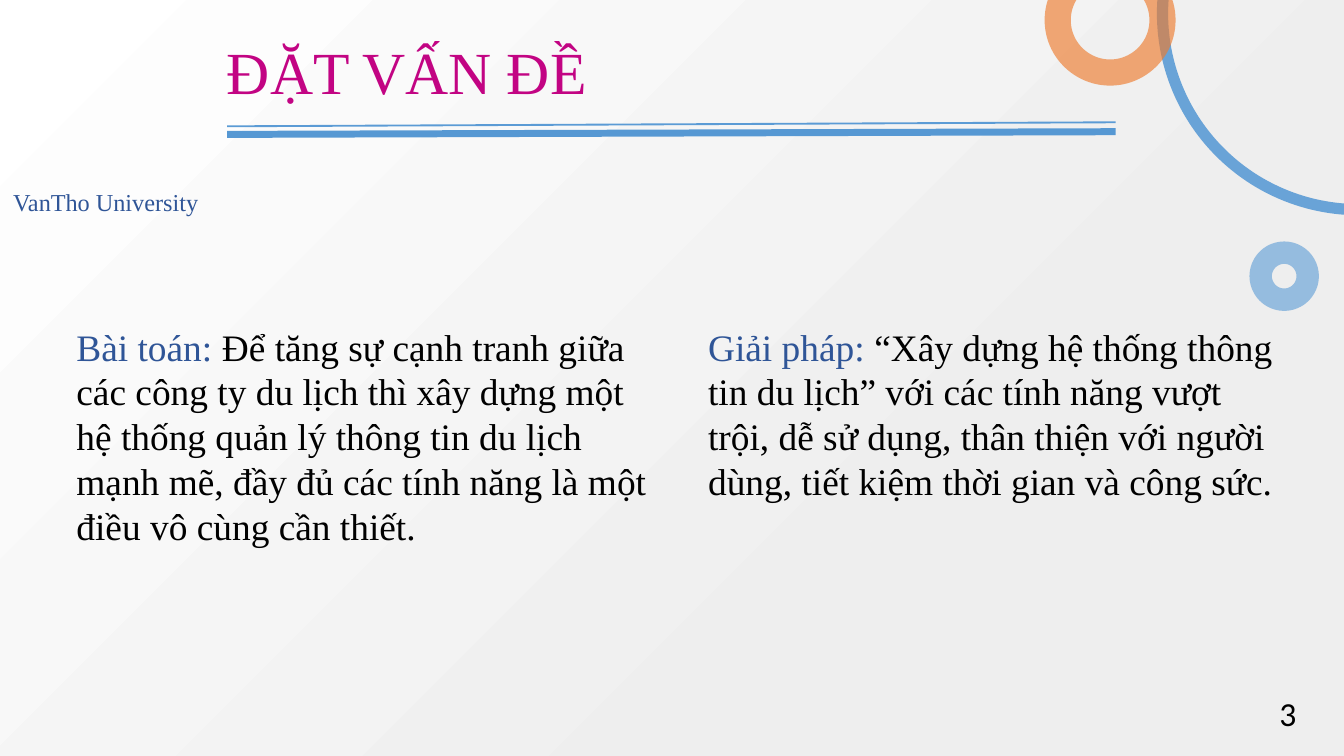
from lxml import etree
from pptx import Presentation
from pptx import util as u
from pptx.dml import color
from pptx.enum import shapes, text
from pptx.oxml import ns

COLORS = {"blue": "5B9BD5", "rule": "5698D3", "orange": "ED7D31", "navy": "2F5597",
          "magenta": "C20483", "black": "000000", "white": "FFFFFF", "grey": "EEEEEE"}
SERIF = "Times New Roman"


def rgb(name):
    return color.RGBColor.from_string(COLORS[name])


def add_background(s):
    fill = s.background.fill
    fill.gradient()
    for stop, (position, name) in zip(fill.gradient_stops, [(0, "white"), (0.71, "grey")]):
        stop.position = position
        stop.color.rgb = rgb(name)
    lin = s.element.find(".//" + ns.qn("a:lin"))
    grad = lin.getparent()
    circle = etree.Element(ns.qn("a:path"), path="circle")
    etree.SubElement(circle, ns.qn("a:fillToRect"), r="100000", b="100000")
    grad.replace(lin, circle)


def add_ring(s, kind, box, name, width, opacity, angles=()):
    sp = s.shapes.add_shape(kind, *map(u.Inches, box))
    sp.shadow.inherit = False
    sp.fill.background()
    for i, angle in enumerate(angles):
        sp.adjustments[i] = angle
    sp.line.color.rgb = rgb(name)
    sp.line.width = u.Pt(width)
    clr = sp.line._ln.find(".//" + ns.qn("a:srgbClr"))
    etree.SubElement(clr, ns.qn("a:alpha"), val=str(opacity * 1000))


def add_rings(s, box):
    x, y = box[:2]
    arc, ellipse = shapes.MSO_SHAPE.ARC, shapes.MSO_SHAPE.OVAL
    add_ring(s, arc, (x + 0.78, y, 2.92, 2.92), "blue", 6, 90, (56.17, 110.74))
    add_ring(s, arc, (x, y + 1.12, 0.78, 0.78), "orange", 14, 65, (194.56, 131.11))
    add_ring(s, ellipse, (x + 1.51, y + 3.24, 0.35, 0.35), "blue", 12, 60)


def add_text(s, box, runs, size, font=SERIF, top=0.05):
    tf = s.shapes.add_textbox(*map(u.Inches, box)).text_frame
    frame = {"word_wrap": True, "vertical_anchor": text.MSO_ANCHOR.TOP,
             "margin_left": u.Inches(0.1), "margin_right": u.Inches(0.1),
             "margin_top": u.Inches(top), "margin_bottom": u.Inches(0.05)}
    for key, value in frame.items():
        setattr(tf, key, value)
    p = tf.paragraphs[0]
    for words, name in runs:
        r = p.add_run()
        r.text = words
        for key, value in {"name": font, "size": u.Pt(size)}.items():
            setattr(r.font, key, value)
        r.font.color.rgb = rgb(name)


def add_header(s, box):
    x, y = box[:2]
    add_text(s, box, [("ĐẶT VẤN ĐỀ", "magenta")], 32)
    for start, end, name, width in [(0.73, 0.7, "blue", 1), (0.79, 0.77, "rule", 3.75)]:
        line = s.shapes.add_connector(shapes.MSO_CONNECTOR.STRAIGHT, *map(
            u.Inches, (x + 0.1, y + start, x + 6.71, y + end)))
        line.line.color.rgb = rgb(name)
        line.line.width = u.Pt(width)
        etree.SubElement(line.element.spPr, ns.qn("a:effectLst"))


def add_columns(s, box, columns):
    x, y, w, h = box
    gap = 0.25
    width = (w - gap) / 2
    for i, (label, body) in enumerate(columns):
        add_text(s, (x + i * (width + gap), y, width, h),
                 [(label, "navy"), (body, "black")], 20, top=0.1)


def main():
    prs = Presentation()
    prs.slide_width = u.Inches(10)
    prs.slide_height = prs.slide_width * 9 // 16
    s = prs.slides.add_slide(prs.slide_layouts[6])
    add_background(s)
    add_rings(s, (7.87, -1.36, 3.7, 3.59))
    add_columns(s, (0.47, 2.31, 9.15, 2.33), [
        ("Bài toán: ", "Để tăng sự cạnh tranh giữa các công ty du lịch thì xây dựng một "
         "hệ thống quản lý thông tin du lịch mạnh mẽ, đầy đủ các tính năng là một "
         "điều vô cùng cần thiết."),
        ("Giải pháp:", " “Xây dựng hệ thống thông tin du lịch” với các tính năng vượt "
         "trội, dễ sử dụng, thân thiện với người dùng, tiết kiệm thời gian và công sức."),
    ])
    add_text(s, (0, 1.34, 1.88, 0.52), [("VanTho University", "navy")], 13)
    add_text(s, (9.42, 5.11, 3.12, 0.52), [("3", "black")], 18, font="Calibri")
    add_header(s, (1.59, 0.21, 7.4, 1.2))
    prs.save("out.pptx")


if __name__ == "__main__":
    main()
